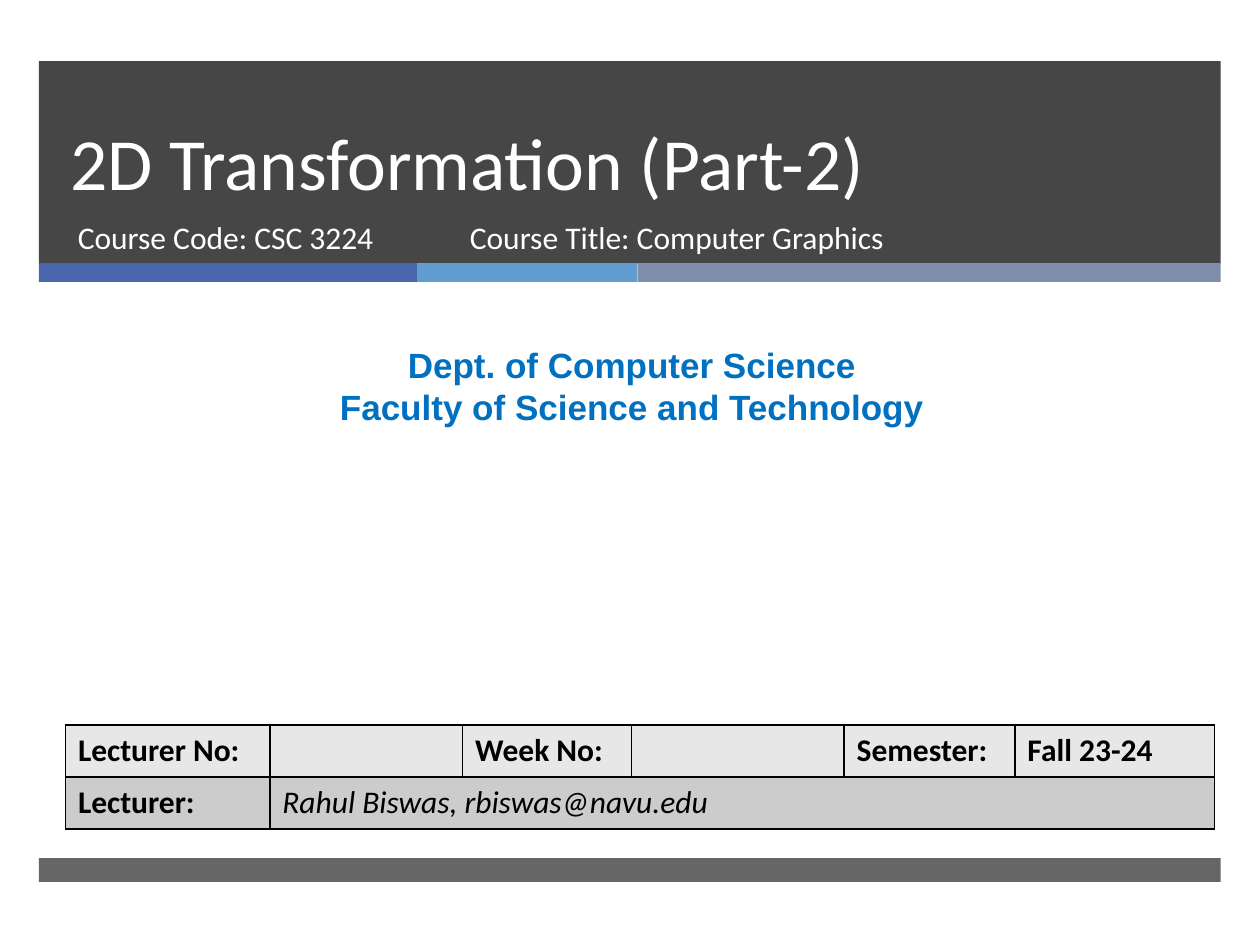
import pptx
import pptx.util
import pptx.dml.color
import pptx.enum.shapes
import pptx.enum.text
import pptx.oxml.ns
from dataclasses import dataclass
from lxml import etree

Pt = pptx.util.Pt
RGB = pptx.dml.color.RGBColor.from_string
ALIGN = pptx.enum.text.PP_ALIGN
ANCHOR = pptx.enum.text.MSO_ANCHOR
qn = pptx.oxml.ns.qn


@dataclass(frozen=True)
class Theme:
    dark: str = "262626"
    blue: str = "4A66AC"
    sky: str = "629DD1"
    slate: str = "7F8FA9"
    accent: str = "0070C0"
    white: str = "FFFFFF"
    black: str = "000000"
    row_light: str = "E7E7E7"
    row_dark: str = "CCCCCC"
    title: int = 42
    dept: int = 20
    body: int = 18
    font: str = "Calibri"
    dept_font: str = "Arial"


T = Theme()


def add_run(p, text, size, color, font=T.font, bold=False, italic=False):
    r = p.add_run()
    r.text = text
    r.font.name, r.font.size = font, Pt(size)
    r.font.bold, r.font.italic = bold, italic
    r.font.color.rgb = RGB(color)


def add_box(s, x, y, w, h, anchor=ANCHOR.TOP):
    tf = s.shapes.add_textbox(Pt(x), Pt(y), Pt(w), Pt(h)).text_frame
    tf.word_wrap = True
    tf.vertical_anchor = anchor
    return tf


prs = pptx.Presentation()
prs.slide_width, prs.slide_height = Pt(720), Pt(540)
s = prs.slides.add_slide(prs.slide_layouts[6])

# Header band, three-colour stripe and footer band: x, y, w, h, colour, opacity %
bands = [
    (22.3, 35, 675.2, 115.7, T.dark, 85),
    (22.3, 150.3, 216, 10.8, T.blue, 100),
    (238.3, 150.3, 126, 10.8, T.sky, 100),
    (364.3, 150.3, 333.2, 10.8, T.slate, 100),
    (22.3, 490.3, 675.2, 13.7, T.dark, 70),
]
for x, y, w, h, color, opacity in bands:
    sp = s.shapes.add_shape(pptx.enum.shapes.MSO_SHAPE.RECTANGLE, Pt(x), Pt(y), Pt(w), Pt(h))
    sp.shadow.inherit = False
    sp.line.fill.background()
    sp.fill.solid()
    sp.fill.fore_color.rgb = RGB(color)
    if opacity < 100:
        clr = sp.fill._xPr.find(qn("a:solidFill"))[0]
        etree.SubElement(clr, qn("a:alpha")).set("val", str(opacity * 1000))

# Title
p = add_box(s, 33.1, 35.3, 615, 85.7, ANCHOR.BOTTOM).paragraphs[0]
p.line_spacing = Pt(46)
add_run(p, "2D Transformation (Part-2)", T.title, T.white)

# Course code and course title
for x, y, w, text in [(37.4, 120.8, 219.6, "Course Code: CSC 3224"),
                      (261.4, 121.2, 327.6, "Course Title: Computer Graphics")]:
    p = add_box(s, x, y, w, 38.2).paragraphs[0]
    add_run(p, text, T.body, T.white)

# Department
tf = add_box(s, 5.8, 193, 710.6, 55.4)
for i, text in enumerate(["Dept. of Computer Science", "Faculty of Science and Technology"]):
    p = tf.add_paragraph() if i else tf.paragraphs[0]
    p.alignment = ALIGN.CENTER
    p.line_spacing = Pt(24)
    add_run(p, text, T.dept, T.accent, T.dept_font, bold=True)

# Lecture details table
cols = [116.8, 110.2, 96.5, 121.5, 97.6, 114]
row_h = 29.8
rows = [
    ["Lecturer No:", "", "Week No:", "", "Semester:", "Fall 23-24"],
    ["Lecturer:", "Rahul Biswas, rbiswas@navu.edu", "", "", "", ""],
]
tbl = s.shapes.add_table(2, 6, Pt(37.4), Pt(414.2), Pt(sum(cols)), Pt(2 * row_h)).table
for col, w in zip(tbl.columns, cols):
    col.width = Pt(w)
tbl.cell(1, 1).merge(tbl.cell(1, 5))

for i, (row, fill) in enumerate(zip(rows, [T.row_light, T.row_dark])):
    tbl.rows[i].height = Pt(row_h)
    for j, text in enumerate(row):
        cell = tbl.cell(i, j)
        if text:
            name = (i, j) == (1, 1)
            add_run(cell.text_frame.paragraphs[0], text, T.body, T.black, bold=not name, italic=name)
        # Borders come before the fill in the cell properties
        tcPr = cell._tc.get_or_add_tcPr()
        for side in ("a:lnL", "a:lnR", "a:lnT", "a:lnB"):
            ln = etree.SubElement(tcPr, qn(side), w=str(Pt(1)))
            solid = etree.SubElement(ln, qn("a:solidFill"))
            etree.SubElement(solid, qn("a:srgbClr"), val=T.black)
        cell.fill.solid()
        cell.fill.fore_color.rgb = RGB(fill)

prs.save("out.pptx")
